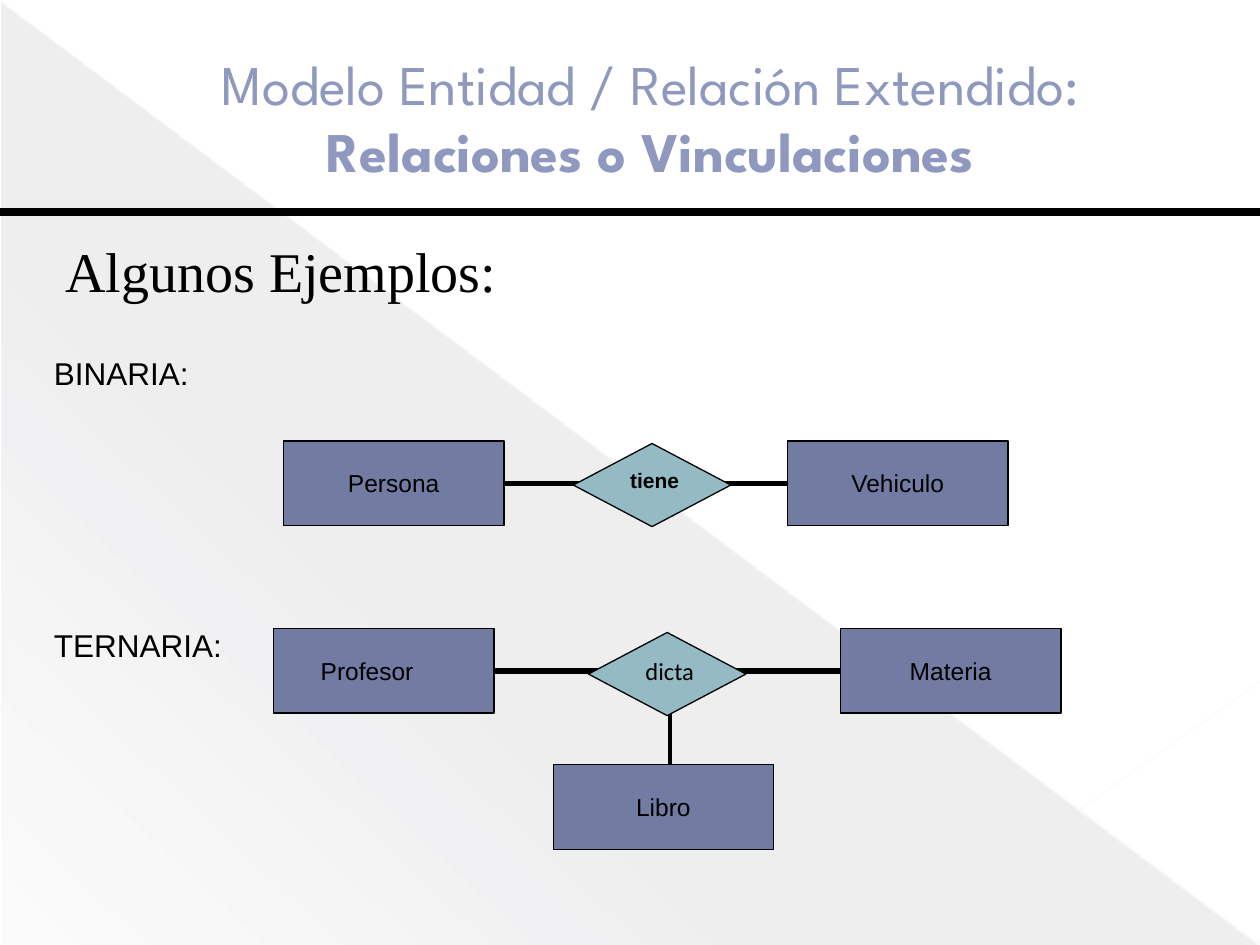
from dataclasses import dataclass

from pptx import Presentation
from pptx.dml.color import RGBColor
from pptx.enum.shapes import MSO_CONNECTOR, MSO_SHAPE
from pptx.enum.text import MSO_ANCHOR, MSO_AUTO_SIZE, PP_ALIGN
from pptx.oxml.xmlchemy import OxmlElement
from pptx.util import Inches, Pt

BLACK = "000000"
ENTITY_FILL = "727CA3"
RELATION_FILL = "94BAC3"
ENTITY_SIZE = (1.75, 0.67)
DIAMOND_SIZE = (1.25, 0.66)


@dataclass
class Entity:
    text: str
    left: float
    top: float


@dataclass
class Relation:
    text: str
    left: float
    top: float
    label_height: float
    font: str
    size: float
    bold: bool


@dataclass
class Caption:
    text: str
    left: float
    top: float
    width: float
    height: float
    font: str
    size: float
    wrap: bool = True


ENTITIES = [
    Entity("Persona", 2.25, 3.5),
    Entity("Vehiculo", 6.25, 3.5),
    Entity("Profesor\t", 2.17, 4.99),
    Entity("Materia", 6.67, 4.99),
    Entity("Libro", 4.39, 6.07),
]
RELATIONS = [
    Relation("tiene", 4.55, 3.52, 0.2, "Arial", 12, True),
    Relation("dicta", 4.67, 5.02, 0.24, "Calibri", 14, False),
]
CAPTIONS = [
    Caption("BINARIA:", 0.33, 2.76, 1.67, 0.4, "Arial", 18),
    Caption("TERNARIA:", 0.33, 4.92, 1.67, 0.4, "Arial", 18),
    Caption("Algunos Ejemplos:", 0.42, 1.83, 3.66, 0.64, "Times New Roman", 32, False),
]


def rgb(value: str) -> RGBColor:
    return RGBColor.from_string(value)


def child(parent, tag: str, **attributes: str):
    element = OxmlElement(tag)
    for name, value in attributes.items():
        element.set(name, value)
    parent.append(element)
    return element


def set_alpha(color_element, percent: float) -> None:
    child(color_element, "a:alpha", val=str(int(percent * 1000)))


def format_text(frame, font: str, size: float, color: str = BLACK, bold: bool = False) -> None:
    for run in frame.paragraphs[0].runs:
        run.font.name = font
        run.font.size = Pt(size)
        run.font.bold = bold
        run.font.color.rgb = rgb(color)


def add_line(slide, start: tuple, end: tuple, color: str, width: float, opacity: float = 100):
    line = slide.shapes.add_connector(
        MSO_CONNECTOR.STRAIGHT, *(Inches(value) for value in (*start, *end))
    )
    line.line.color.rgb = rgb(color)
    line.line.width = Pt(width)
    properties = line.line._get_or_add_ln()
    if opacity < 100:
        set_alpha(properties.find(".//{*}srgbClr"), opacity)
    child(properties.getparent(), "a:effectLst")
    return line


def add_block(shapes, kind, box: tuple, fill: str, outline: bool = True):
    block = shapes.add_shape(kind, *(Inches(value) for value in box))
    block.shadow.inherit = False
    block.fill.solid()
    block.fill.fore_color.rgb = rgb(fill)
    if outline:
        block.line.color.rgb = rgb(BLACK)
        block.line.width = Pt(0.75)
    else:
        block.line.fill.background()
    return block


def add_backdrop(slide) -> None:
    triangle = add_block(
        slide.shapes, MSO_SHAPE.RIGHT_TRIANGLE, (0.01, 0.02, 9.98, 7.48), "464653", False
    )
    gradient = OxmlElement("a:gradFill")
    stops = child(gradient, "a:gsLst")
    for position, opacity in ((0, 10), (70, 8), (100, 1)):
        stop = child(stops, "a:gs", pos=str(position * 1000))
        set_alpha(child(stop, "a:srgbClr", val="464653"), opacity)
    child(gradient, "a:lin", ang=str(133 * 60000), scaled="0")
    solid = triangle.fill._xPr.find("{*}solidFill")
    solid.getparent().replace(solid, gradient)
    add_line(slide, (0, 0.01), (9.99, 7.49), "E9F6F9", 0.39, 35)
    add_line(slide, (10, 5.41), (7.07, 7.49), "EBF6F9", 0.47, 45)
    add_line(slide, (0, 1.68), (10, 1.68), BLACK, 4.5)


def add_title(slide) -> None:
    title = slide.shapes.add_textbox(Inches(0.33), Inches(0.3), Inches(9.67), Inches(1.25))
    frame = title.text_frame
    frame.word_wrap = True
    frame.vertical_anchor = MSO_ANCHOR.MIDDLE
    paragraph = frame.paragraphs[0]
    paragraph.text = "Modelo Entidad / Relación Extendido:\vRelaciones o Vinculaciones"
    paragraph.alignment = PP_ALIGN.CENTER
    format_text(frame, "League Spartan", 32, "8F98BF")
    paragraph.runs[1].font.bold = True
    for run in paragraph.runs:
        outline = OxmlElement("a:ln")
        outline.set("w", str(Pt(0.5)))
        child(child(outline, "a:solidFill"), "a:srgbClr", val="4F5671")
        run.font._element.insert(0, outline)


def add_entity(slide, entity: Entity):
    box = add_block(
        slide.shapes, MSO_SHAPE.RECTANGLE, (entity.left, entity.top, *ENTITY_SIZE), ENTITY_FILL
    )
    frame = box.text_frame
    frame.word_wrap = False
    frame.text = entity.text
    frame.paragraphs[0].alignment = PP_ALIGN.CENTER
    format_text(frame, "Arial", 14)
    return box


def join_entities(slide, right, left) -> None:
    link = add_line(slide, (0, 0), (1, 1), BLACK, 3)
    link.begin_connect(right, 1)
    link.end_connect(left, 3)


def add_relation(slide, relation: Relation) -> None:
    group = slide.shapes.add_group_shape()
    add_block(
        group.shapes, MSO_SHAPE.DIAMOND, (relation.left, relation.top, *DIAMOND_SIZE), RELATION_FILL
    )
    label_box = (relation.left + 0.32, relation.top + 0.19, 0.65, relation.label_height)
    label = add_block(group.shapes, MSO_SHAPE.RECTANGLE, label_box, RELATION_FILL, False)
    frame = label.text_frame
    frame.margin_left = frame.margin_right = frame.margin_top = frame.margin_bottom = 0
    frame.vertical_anchor = MSO_ANCHOR.TOP
    frame.auto_size = MSO_AUTO_SIZE.SHAPE_TO_FIT_TEXT
    frame.text = relation.text
    frame.paragraphs[0].alignment = PP_ALIGN.CENTER
    format_text(frame, relation.font, relation.size, bold=relation.bold)


def add_caption(slide, caption: Caption) -> None:
    box = (caption.left, caption.top, caption.width, caption.height)
    frame = slide.shapes.add_textbox(*(Inches(value) for value in box)).text_frame
    frame.word_wrap = caption.wrap
    frame.auto_size = MSO_AUTO_SIZE.SHAPE_TO_FIT_TEXT
    frame.text = caption.text
    format_text(frame, caption.font, caption.size)


def main() -> None:
    """Build the slide on binary and ternary relationships."""
    deck = Presentation()
    deck.slide_width, deck.slide_height = Inches(10), Inches(7.5)
    slide = deck.slides.add_slide(deck.slide_layouts[6])
    add_backdrop(slide)
    add_title(slide)
    add_line(slide, (5.32, 5.65), (5.32, 6.07), BLACK, 2.25)
    persona, vehiculo, profesor, materia, _ = [add_entity(slide, entity) for entity in ENTITIES]
    join_entities(slide, vehiculo, persona)
    join_entities(slide, materia, profesor)
    for relation in RELATIONS:
        add_relation(slide, relation)
    for caption in CAPTIONS:
        add_caption(slide, caption)
    deck.save("out.pptx")


if __name__ == "__main__":
    main()
